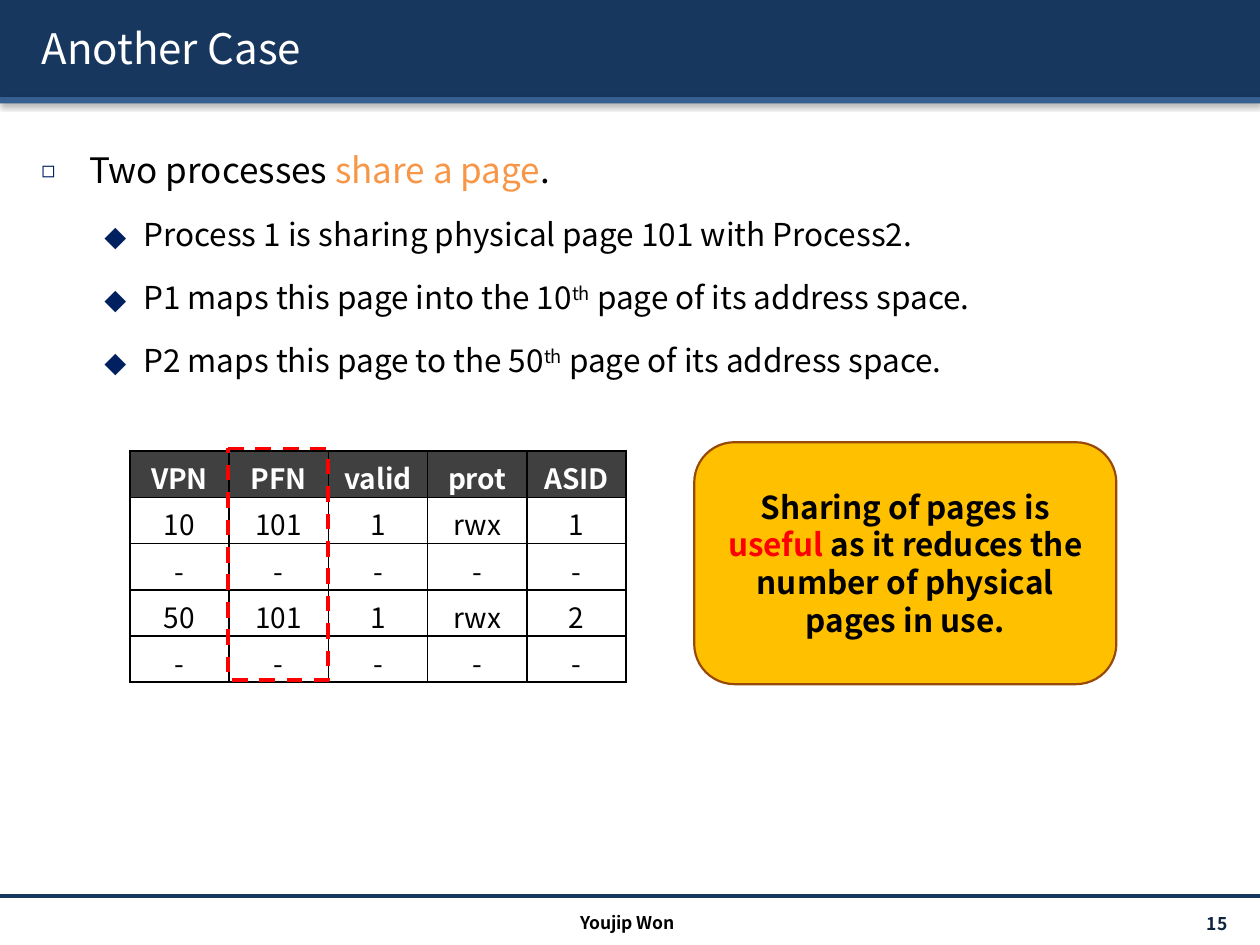
from typing import NamedTuple

from lxml import etree
from pptx import Presentation
from pptx.dml.color import RGBColor
from pptx.enum import dml, shapes, text
from pptx.oxml import ns
from pptx.util import Inches, Pt

FONT = "Noto Sans CJK KR"
NAVY = "17375E"
RED = "FF0000"


class Run(NamedTuple):
    text: str
    color: str = "000000"
    raised: bool = False


class Level(NamedTuple):
    size: int
    margin: float
    hang: float
    bullet: str
    bullet_size: int


class Bullet(NamedTuple):
    level: int
    runs: list[Run]


LEVELS = [Level(20, 0.38, 0.38, "◻", 65), Level(18, 0.81, 0.31, "⬥", 100)]
BULLETS = [
    Bullet(0, [Run("Two processes "), Run("share a page", "F79646"), Run(".")]),
    Bullet(1, [Run("Process 1 is sharing physical page 101 with Process2.")]),
    Bullet(1, [Run("P1 maps this page into the 10"), Run("th", raised=True),
               Run(" page of its address space.")]),
    Bullet(1, [Run("P2 maps this page to the 50"), Run("th", raised=True),
               Run(" page of its address space.")]),
]
TLB_ROWS = [
    ["VPN", "PFN", "valid", "prot", "ASID"],
    ["10", "101", "1", "rwx", "1"],
    ["-"] * 5,
    ["50", "101", "1", "rwx", "2"],
    ["-"] * 5,
]


def rgb(value: str) -> RGBColor:
    return RGBColor.from_string(value)


def sub(parent, tag: str, **attrs):
    return etree.SubElement(parent, ns.qn(tag), {k: str(v) for k, v in attrs.items()})


def set_font(font, size: float, color: str = "000000", bold: bool = False) -> None:
    font.name, font.size, font.bold = FONT, Pt(size), bold
    font.color.rgb = rgb(color)


def add_shadow(props, blur: float, dist: float, angle: int, alpha: int) -> None:
    effects = sub(props, "a:effectLst")
    shadow = sub(effects, "a:outerShdw", blurRad=Pt(blur), dist=Pt(dist),
                 dir=angle * 60000, algn="ctr", rotWithShape=0)
    sub(sub(shadow, "a:srgbClr", val="000000"), "a:alpha", val=alpha * 1000)


def add_runs(p, runs: list[Run]) -> None:
    for run in runs:
        r = p.add_run()
        r.text = run.text
        r.font.color.rgb = rgb(run.color)
        if run.raised:
            r.font._element.set("baseline", "30000")


def add_box(s, kind, left: float, top: float, width: float, height: float,
            fill: str | None = None, line: str | None = None, weight: float = 1):
    sp = s.shapes.add_shape(kind, Inches(left), Inches(top), Inches(width), Inches(height))
    if fill:
        sp.fill.solid()
        sp.fill.fore_color.rgb = rgb(fill)
    else:
        sp.fill.background()
    if line:
        sp.line.color.rgb = rgb(line)
        sp.line.width = Pt(weight)
    else:
        sp.line.fill.background()
    return sp


def add_text(s, left: float, top: float, width: float, height: float):
    tf = s.shapes.add_textbox(Inches(left), Inches(top), Inches(width), Inches(height)).text_frame
    tf.word_wrap = True
    return tf


def add_bands(s) -> None:
    for top, height, color in [(0, 0.77, NAVY), (0.77, 0.05, "376092")]:
        sp = add_box(s, shapes.MSO_SHAPE.RECTANGLE, 0, top, 10, height, color)
        add_shadow(sp._element.spPr, 3.1, 1.6, 90, 38)


def add_title(s, title: str) -> None:
    sp = s.shapes.title
    sp.left, sp.top, sp.width, sp.height = (Inches(v) for v in (0.23, 0.06, 9.61, 0.64))
    tf = sp.text_frame
    tf.vertical_anchor = text.MSO_ANCHOR.MIDDLE
    p = tf.paragraphs[0]
    p.alignment = text.PP_ALIGN.LEFT
    r = p.add_run()
    r.text = title
    set_font(p.font, 24, "FFFFFF")
    r_props = r.font._element
    add_shadow(r_props, 3, 3, 45, 43)
    # Bring the title in front of the bands
    s.shapes._spTree.append(sp._element)


def add_bullets(s) -> None:
    tf = add_text(s, 0.23, 0.96, 9.61, 6.02)
    for i, item in enumerate(BULLETS):
        level = LEVELS[item.level]
        p = tf.add_paragraph() if i else tf.paragraphs[0]
        p.level, p.line_spacing = item.level, 1.5
        p.space_before = Pt(0.2 * level.size if i else 0)
        props = p._p.get_or_add_pPr()
        props.set("marL", str(Inches(level.margin)))
        props.set("indent", str(-Inches(level.hang)))
        sub(sub(props, "a:buClr"), "a:srgbClr", val="002060")
        sub(props, "a:buSzPct", val=level.bullet_size * 1000)
        sub(props, "a:buFont", typeface=FONT)
        sub(props, "a:buChar", char=level.bullet)
        set_font(p.font, level.size)
        add_runs(p, item.runs)


def add_tlb_table(s) -> None:
    table = s.shapes.add_table(len(TLB_ROWS), len(TLB_ROWS[0]), Inches(1.03), Inches(3.58),
                               Inches(3.94), Inches(1.83)).table
    for i, row in enumerate(TLB_ROWS):
        for j, value in enumerate(row):
            cell = table.cell(i, j)
            cell.text = value
            p = cell.text_frame.paragraphs[0]
            p.alignment = text.PP_ALIGN.CENTER
            set_font(p.font, 16, "000000" if i else "FFFFFF", bold=not i)
            props = cell._tc.get_or_add_tcPr()
            for side in ("a:lnL", "a:lnR", "a:lnT", "a:lnB"):
                border = sub(props, side, w=Pt(1))
                sub(sub(border, "a:solidFill"), "a:srgbClr", val="000000")
            if i:
                cell.fill.background()
            else:
                cell.fill.solid()
                cell.fill.fore_color.rgb = rgb("404040")


def add_callout(s) -> None:
    sp = add_box(s, shapes.MSO_SHAPE.ROUNDED_RECTANGLE, 5.51, 3.51, 3.35, 1.92,
                 "FFC000", "984807", 1.25)
    sp.shadow.inherit = False
    tf = sp.text_frame
    tf.word_wrap = True
    tf.vertical_anchor = text.MSO_ANCHOR.MIDDLE
    tf.margin_left = tf.margin_right = Inches(0.12)
    p = tf.paragraphs[0]
    p.alignment = text.PP_ALIGN.CENTER
    set_font(p.font, 18, bold=True)
    add_runs(p, [Run("Sharing of pages is "), Run("useful", RED),
                 Run(" as it reduces the number of physical pages in use.")])


def add_footer(s) -> None:
    rule = s.shapes.add_connector(shapes.MSO_CONNECTOR.STRAIGHT, 0, Inches(7.11),
                                  Inches(10), Inches(7.11))
    rule.line.color.rgb = rgb(NAVY)
    rule.line.width = Pt(2)
    sub(rule._element.spPr, "a:effectLst")
    for value, left, top, width, align, color in [
        ("15", 8.71, 7.21, 1.13, text.PP_ALIGN.RIGHT, "0F243E"),
        ("Youjip Won", 3.32, 7.2, 3.32, text.PP_ALIGN.CENTER, "000000"),
    ]:
        tf = add_text(s, left, top, width, 0.24)
        tf.vertical_anchor = text.MSO_ANCHOR.MIDDLE
        p = tf.paragraphs[0]
        p.text, p.alignment = value, align
        set_font(p.font, 10, color, bold=True)


def main() -> None:
    prs = Presentation()
    prs.slide_width, prs.slide_height = Inches(10), Inches(7.5)
    s = prs.slides.add_slide(prs.slide_layouts[5])
    add_bands(s)
    add_title(s, "Another Case")
    add_bullets(s)
    add_tlb_table(s)
    # Dashed frame around the shared PFN entries
    frame = add_box(s, shapes.MSO_SHAPE.ROUNDED_RECTANGLE, 1.81, 3.56, 0.79, 1.84,
                    line=RED, weight=2.25)
    frame.adjustments[0] = 0
    frame.line.dash_style = dml.MSO_LINE.DASH
    frame.shadow.inherit = False
    add_callout(s)
    add_footer(s)
    prs.save("out.pptx")


if __name__ == "__main__":
    main()
